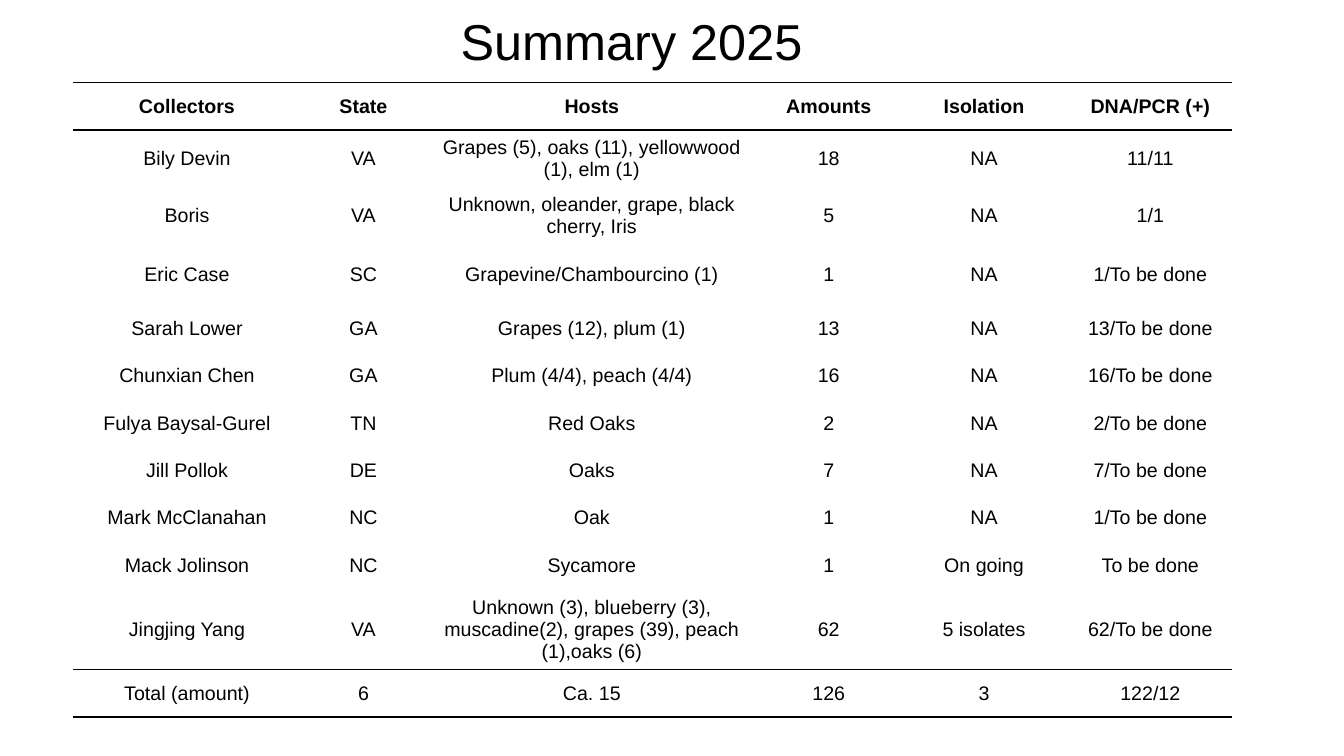
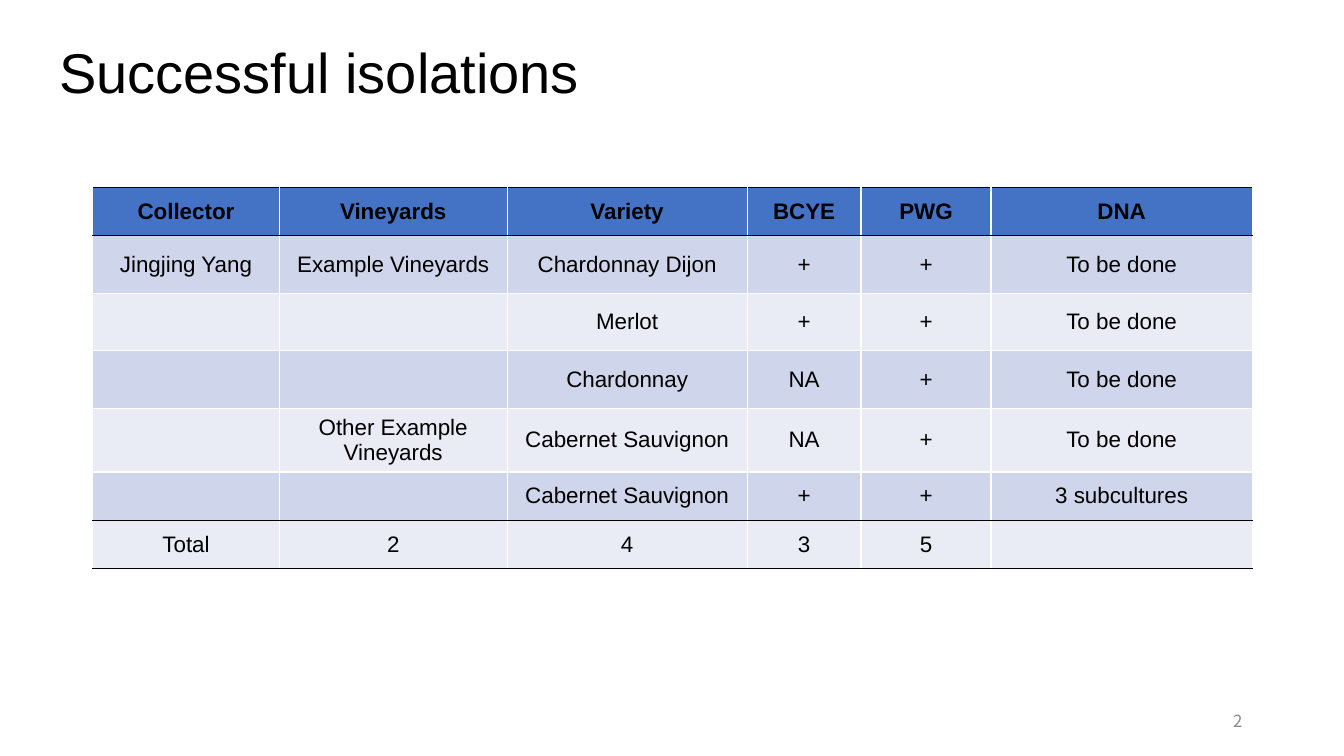
from lxml.etree import SubElement as Sub
from pptx import Presentation as Deck
from pptx.dml.color import RGBColor as Rgb
from pptx.enum.text import MSO_ANCHOR as Anchor, PP_ALIGN as Align
from pptx.oxml.ns import qn
from pptx.util import Inches, Pt

HUES = {
    "ink": "000000",
    "white": "FFFFFF",
    "head": "4472C4",
    "dark": "CFD5EA",
    "light": "E9EBF5",
    "gray": "898989",
}
FACE = "Arial"

COUNTS = [
    ("Collectors", "State", "Hosts", "Amounts", "Isolation", "DNA/PCR (+)"),
    ("Bily Devin", "VA", "Grapes (5), oaks (11), yellowwood (1), elm (1)", "18", "NA", "11/11"),
    ("Boris", "VA", "Unknown, oleander, grape, black cherry, Iris", "5", "NA", "1/1"),
    ("Eric Case", "SC", "Grapevine/Chambourcino (1)", "1", "NA", "1/To be done"),
    ("Sarah Lower", "GA", "Grapes (12), plum (1)", "13", "NA", "13/To be done"),
    ("Chunxian Chen", "GA", "Plum (4/4), peach (4/4)", "16", "NA", "16/To be done"),
    ("Fulya Baysal-Gurel", "TN", "Red Oaks", "2", "NA", "2/To be done"),
    ("Jill Pollok", "DE", "Oaks", "7", "NA", "7/To be done"),
    ("Mark McClanahan", "NC", "Oak", "1", "NA", "1/To be done"),
    ("Mack Jolinson", "NC", "Sycamore", "1", "On going", "To be done"),
    ("Jingjing Yang", "VA",
     "Unknown (3), blueberry (3), muscadine(2), grapes (39), peach (1),oaks (6)",
     "62", "5 isolates", "62/To be done"),
    ("Total (amount)", "6", "Ca. 15", "126", "3", "122/12"),
]

STRAINS = [
    ("Collector", "Vineyards", "Variety", "BCYE", "PWG", "DNA"),
    ("Jingjing Yang", "Example Vineyards", "Chardonnay Dijon", "+", "+", "To be done"),
    ("", "", "Merlot", "+", "+", "To be done"),
    ("", "", "Chardonnay", "NA", "+", "To be done"),
    ("", "Other Example Vineyards", "Cabernet Sauvignon", "NA", "+", "To be done"),
    ("", "", "Cabernet Sauvignon", "+", "+", "3 subcultures"),
    ("Total", "2", "4", "3", "5", ""),
]


def style(para, size, hue="ink", face=FACE, bold=False, align=None):
    para.alignment = align
    font = para.font
    font.name, font.size, font.bold = face, Pt(size), bold
    font.color.rgb = Rgb.from_string(HUES[hue])


def add_text(slide, text, box, size, **look):
    frame = slide.shapes.add_textbox(*map(Inches, box)).text_frame
    frame.word_wrap = True
    frame.vertical_anchor = Anchor.MIDDLE
    para = frame.paragraphs[0]
    para.text = text
    style(para, size, **look)
    return para


def add_title(slide, text, box, size):
    add_text(slide, text, box, size).line_spacing = 0.9


def add_edge(cell, side, hue):
    line = Sub(cell._tc.get_or_add_tcPr(), qn(f"a:ln{side}"), w=str(Pt(1)))
    if hue:
        fill = Sub(line, qn("a:solidFill"))
        Sub(fill, qn("a:srgbClr"), val=HUES[hue])
    else:
        Sub(line, qn("a:noFill"))


def paint(cell, hue):
    if hue:
        cell.fill.solid()
        cell.fill.fore_color.rgb = Rgb.from_string(HUES[hue])
    else:
        cell.fill.background()


def add_grid(slide, data, spot, wides, highs, size, fills=None, edge=None):
    box = (*spot, sum(wides), sum(highs))
    last = len(data)
    grid = slide.shapes.add_table(last, len(wides), *map(Inches, box)).table
    grid.first_row = grid.horz_banding = False
    for col, wide in zip(grid.columns, wides):
        col.width = Inches(wide)
    ruled = {0, 1, last - 1, last}
    for r, (row, high) in enumerate(zip(data, highs)):
        grid.rows[r].height = Inches(high)
        top, base = ("ink" if n in ruled else edge for n in (r, r + 1))
        hue = fills and (fills[0] if r == 0 else fills[2 - r % 2])
        for c, text in enumerate(row):
            cell = grid.cell(r, c)
            cell.text = text
            cell.vertical_anchor = Anchor.MIDDLE
            style(cell.text_frame.paragraphs[0], size, bold=r == 0, align=Align.CENTER)
            for side, tint in zip("LRTB", (edge, edge, top, base)):
                add_edge(cell, side, tint)
            paint(cell, hue)


def main():
    deck = Deck()
    deck.slide_width, deck.slide_height = Inches(13.33), Inches(7.5)
    first, second = (deck.slides.add_slide(deck.slide_layouts[6]) for _ in range(2))

    add_title(first, "Summary 2025", (4.47, 0.06, 6.62, 0.76), 36)
    add_grid(first, COUNTS, (0.72, 0.82), (2.27, 1.23, 3.3, 1.4, 1.68, 1.62),
             [0.47, 0.55, 0.55, 0.6] + [0.47] * 6 + [0.79, 0.47], 14)

    add_title(second, "Successful isolations", (0.49, 0.02, 11.5, 1.45), 40)
    add_grid(second, STRAINS, (0.92, 1.86), (1.85, 2.26, 2.38, 1.13, 1.29, 2.59),
             [0.48] + [0.57] * 3 + [0.48] * 3, 16,
             fills=("head", "dark", "light"), edge="white")
    add_text(second, "2", (9.42, 6.95, 3, 0.4), 12, hue="gray",
             face="Noto Sans CJK SC", align=Align.RIGHT)

    deck.save("out.pptx")


if __name__ == "__main__":
    main()
